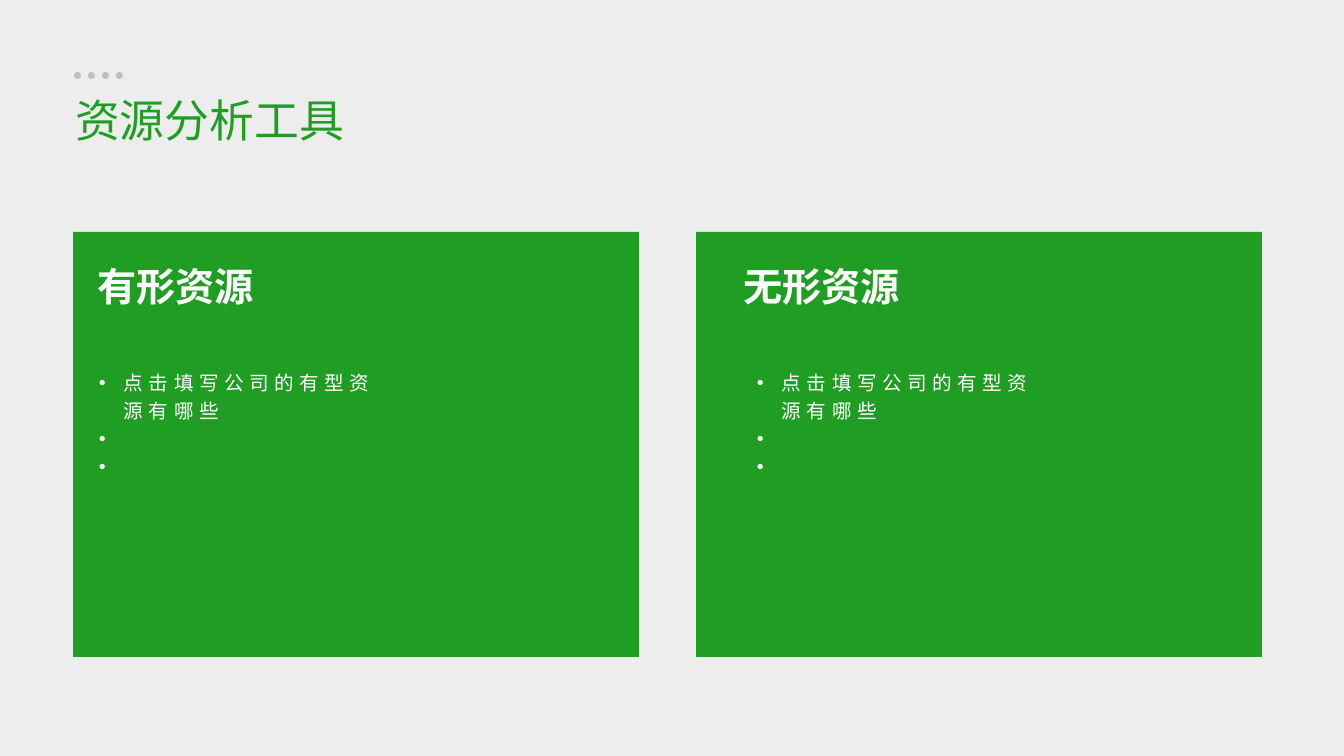
from dataclasses import dataclass

import lxml.etree
import pptx
import pptx.dml.color
import pptx.enum.shapes
import pptx.enum.text
import pptx.oxml.ns
import pptx.util

EMU_PER_PX = 914400 * 10 / 1344
FONT = "Noto Sans CJK SC"
BACKGROUND = pptx.dml.color.RGBColor(0xED, 0xED, 0xED)
GREEN = pptx.dml.color.RGBColor(0x1F, 0x9E, 0x23)
GRAY = pptx.dml.color.RGBColor(0xBF, 0xBF, 0xBF)
WHITE = pptx.dml.color.RGBColor(0xFF, 0xFF, 0xFF)
SHAPE = pptx.enum.shapes.MSO_SHAPE
ANCHOR = pptx.enum.text.MSO_ANCHOR
ALIGN = pptx.enum.text.PP_ALIGN


@dataclass
class Box:
    left: int
    top: int
    width: int
    height: int

    def emu(self) -> list[int]:
        return [px(n) for n in (self.left, self.top, self.width, self.height)]


@dataclass
class Panel:
    heading: str
    points: list[str]
    card: Box
    heading_box: Box
    points_box: Box


def px(length: int) -> int:
    return round(length * EMU_PER_PX)


def draw_filled(slide, kind, box: Box, color) -> None:
    shape = slide.shapes.add_shape(kind, *box.emu())
    shape.shadow.inherit = False
    shape.fill.solid()
    shape.fill.fore_color.rgb = color
    shape.line.fill.background()


def add_bullet(paragraph, indent: int) -> None:
    properties = paragraph._p.get_or_add_pPr()
    properties.set("marL", str(px(indent)))
    properties.set("indent", str(-px(indent)))
    qn = pptx.oxml.ns.qn
    lxml.etree.SubElement(properties, qn("a:buFont")).set("typeface", "Arial")
    lxml.etree.SubElement(properties, qn("a:buChar")).set("char", "•")


def write(frame, lines: list[str], *, size: float, color, bold: bool = False,
          wrap: bool = False, align=ALIGN.LEFT, anchor=ANCHOR.TOP,
          inset: tuple[int, int] = (13, 7), line_spacing: float = 1.0,
          tracking: int = 0, bullet_indent: int = 0) -> None:
    frame.word_wrap = wrap
    frame.auto_size = pptx.enum.text.MSO_AUTO_SIZE.NONE
    frame.vertical_anchor = anchor
    frame.margin_left = frame.margin_right = px(inset[0])
    frame.margin_top = frame.margin_bottom = px(inset[1])
    for index, line in enumerate(lines):
        paragraph = frame.add_paragraph() if index else frame.paragraphs[0]
        paragraph.alignment = align
        paragraph.line_spacing = line_spacing
        paragraph.space_before = pptx.util.Pt(0)
        if bullet_indent:
            add_bullet(paragraph, bullet_indent)
        run = paragraph.add_run()
        run.text = line
        run.font.size = pptx.util.Pt(size)
        run.font.bold = bold
        run.font.color.rgb = color
        run.font.name = FONT
        properties = run.font._element
        east_asian = lxml.etree.SubElement(properties, pptx.oxml.ns.qn("a:ea"))
        east_asian.set("typeface", FONT)
        if tracking:
            properties.set("spc", str(tracking * 100))


def draw_panel(slide, panel: Panel) -> None:
    draw_filled(slide, SHAPE.RECTANGLE, panel.card, GREEN)
    heading = slide.shapes.add_textbox(*panel.heading_box.emu())
    write(heading.text_frame, [panel.heading], size=21, color=WHITE, bold=True,
          align=ALIGN.CENTER, anchor=ANCHOR.BOTTOM, inset=(0, 0))
    points = slide.shapes.add_textbox(*panel.points_box.emu())
    write(points.text_frame, panel.points, size=10.5, color=WHITE, wrap=True,
          line_spacing=1.2, tracking=3, bullet_indent=25)


def main() -> None:
    deck = pptx.Presentation()
    deck.slide_width, deck.slide_height = px(1344), px(756)
    slide = deck.slides.add_slide(deck.slide_layouts[5])
    slide.background.fill.solid()
    slide.background.fill.fore_color.rgb = BACKGROUND

    for index in range(4):
        draw_filled(slide, SHAPE.OVAL, Box(74 + 14 * index, 72, 7, 7), GRAY)

    title = slide.shapes.title
    title.left, title.top, title.width, title.height = Box(62, 86, 296, 67).emu()
    write(title.text_frame, ["资源分析工具"], size=24, color=GREEN)

    points = ["点击填写公司的有型资源有哪些", " ", " "]
    panels = [
        Panel("有形资源", points, Box(73, 232, 566, 425),
              Box(97, 262, 157, 47), Box(86, 359, 312, 128)),
        Panel("无形资源", points, Box(696, 232, 566, 425),
              Box(743, 262, 157, 47), Box(744, 359, 312, 128)),
    ]
    for panel in panels:
        draw_panel(slide, panel)

    deck.save("out.pptx")


if __name__ == "__main__":
    main()
